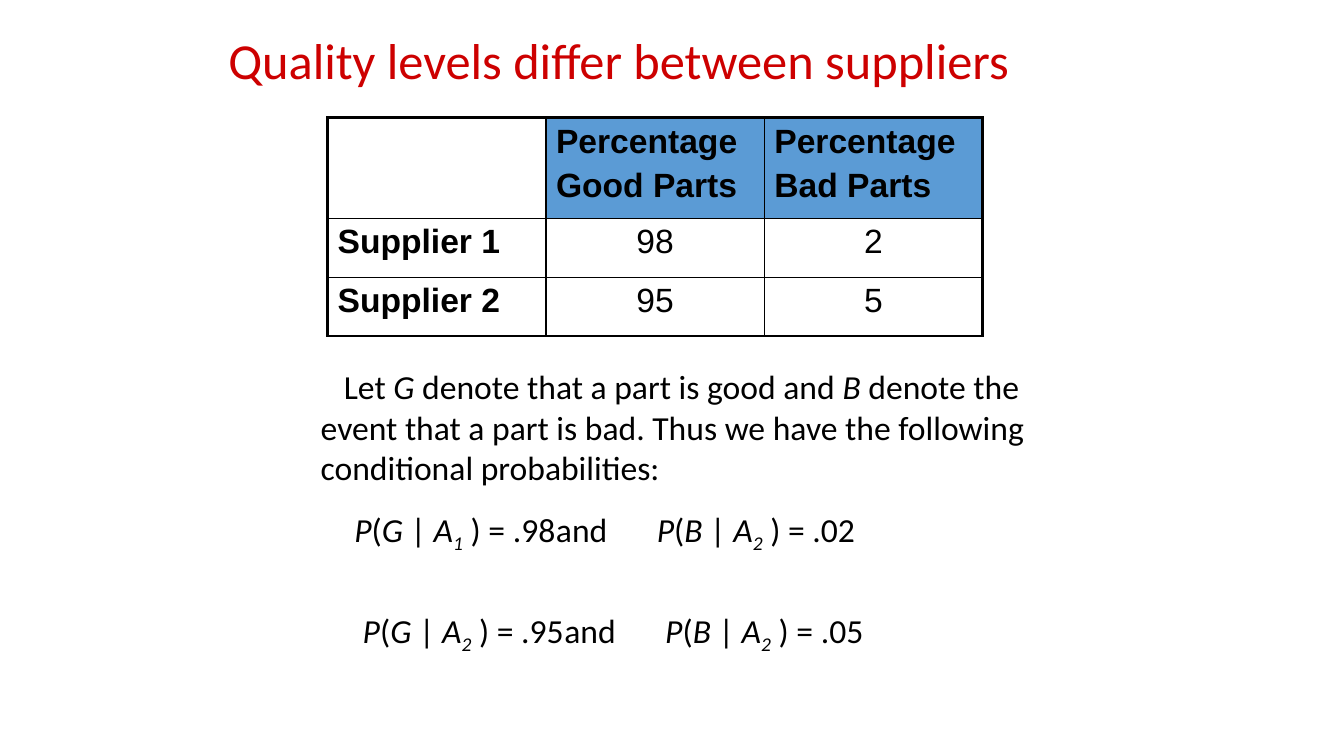
from lxml import etree
from pptx import Presentation, util as u
from pptx.dml.color import RGBColor
from pptx.enum import text
from pptx.oxml.ns import qn

RED = RGBColor(0xCD, 0x00, 0x00)
BLACK = RGBColor(0x00, 0x00, 0x00)
HEADER_BLUE = RGBColor(0x5B, 0x9B, 0xD5)

SUPPLIERS = [
    ["", "Percentage\nGood Parts", "Percentage\nBad Parts"],
    ["Supplier 1", "98", "2"],
    ["Supplier 2", "95", "5"],
]
INTRODUCTION = [
    ("Let ", ""), ("G", "italic"), (" denote that a part is good and ", ""),
    ("B", "italic"),
    (" denote the event that a part is bad. Thus we have the following "
     "conditional probabilities:", ""),
]


def conditional(event, supplier, value):
    return [("P", "italic"), ("(", ""), (event, "italic"), (" | ", ""),
            ("A", "italic"), (supplier, "subscript"), (f" ) = {value}", "")]


class SlideBuilder:
    """Draw styled elements on a slide with a grid of twelve units per inch."""

    columns, rows = 160, 90
    body_font, table_font = "Calibri", "Arial"
    title_size, body_size = 36, 24
    outer_line, inner_line = 2.25, 1

    def __init__(self, presentation):
        self.slide = presentation.slides.add_slide(presentation.slide_layouts[6])
        self.column = presentation.slide_width / self.columns
        self.row = presentation.slide_height / self.rows

    def place(self, left, top, width, height):
        return (round(left * self.column), round(top * self.row),
                round(width * self.column), round(height * self.row))

    def style(self, font, name, size, color, bold=False):
        font.name, font.size, font.bold = name, u.Pt(size), bold
        font.color.rgb = color

    def box(self, *area):
        frame = self.slide.shapes.add_textbox(*self.place(*area)).text_frame
        frame.word_wrap = True
        return frame

    def title(self, words, *area):
        frame = self.box(*area)
        frame.vertical_anchor = text.MSO_ANCHOR.MIDDLE
        frame.text = words
        paragraph = frame.paragraphs[0]
        paragraph.line_spacing = 0.9
        self.style(paragraph.runs[0].font, self.body_font, self.title_size, RED)

    def rich_text(self, pieces, *area, indent=0, tabs=()):
        paragraph = self.box(*area).paragraphs[0]
        properties = paragraph._p.get_or_add_pPr()
        properties.set("indent", str(u.Inches(indent)))
        if tabs:
            stops = etree.SubElement(properties, qn("a:tabLst"))
            for position in tabs:
                etree.SubElement(stops, qn("a:tab"), pos=str(u.Inches(position)), algn="l")
        for words, kind in pieces:
            run = paragraph.add_run()
            run.text = words
            self.style(run.font, self.body_font, self.body_size, BLACK)
            run.font.italic = kind != ""
            if kind == "subscript":
                run.font._element.set("baseline", "-25000")

    def border(self, cell, side, width):
        line = etree.SubElement(cell._tc.get_or_add_tcPr(), qn(f"a:ln{side}"),
                                w=str(u.Pt(width)))
        fill = etree.SubElement(line, qn("a:solidFill"))
        etree.SubElement(fill, qn("a:srgbClr"), val=str(BLACK))

    def cell(self, cell, words, heading, label, outer_sides):
        for side in "LRTB":
            self.border(cell, side, self.outer_line if side in outer_sides else self.inner_line)
        if heading:
            cell.fill.solid()
            cell.fill.fore_color.rgb = HEADER_BLUE
        else:
            cell.fill.background()
        cell.text_frame.text = words
        for number, paragraph in enumerate(cell.text_frame.paragraphs):
            if number:
                paragraph.space_before = u.Pt(0.2 * self.body_size)
            if not (heading or label):
                paragraph.alignment = text.PP_ALIGN.CENTER
            self.style(paragraph.font, self.table_font, self.body_size, BLACK)
            for run in paragraph.runs:
                self.style(run.font, self.table_font, self.body_size, BLACK, heading or label)

    def table(self, values, heights, *area):
        last_row, last_column = len(values) - 1, len(values[0]) - 1
        table = self.slide.shapes.add_table(
            last_row + 1, last_column + 1, *self.place(*area)).table
        table.first_row = table.horz_banding = False
        for r, (row, height) in enumerate(zip(values, heights)):
            table.rows[r].height = round(height * self.row)
            for c, words in enumerate(row):
                edges = {"L": c == 0, "R": c == last_column, "T": r == 0, "B": r == last_row}
                outer_sides = [side for side, outer in edges.items() if outer]
                self.cell(table.cell(r, c), words, r == 0 and c > 0, c == 0, outer_sides)


def main():
    presentation = Presentation()
    presentation.slide_width, presentation.slide_height = u.Inches(13.33), u.Inches(7.5)
    builder = SlideBuilder(presentation)
    builder.title("Quality levels differ between suppliers", 26, 0, 108, 15)
    builder.table(SUPPLIERS, (12, 7, 7), 39, 14, 78, 26)
    builder.rich_text(INTRODUCTION, 37, 43, 92, 15.7, indent=0.23)
    equations = [("1", ".98", ".02"), ("2", ".95", ".05")]
    for index, (supplier, good, bad) in enumerate(equations):
        pieces = (conditional("G", supplier, good) + [("\tand\t", "")]
                  + conditional("B", "2", bad))
        builder.rich_text(pieces, 41 + index, 60 + 12 * index, 69, 6, tabs=(2.13, 2.81))
    presentation.save("out.pptx")


if __name__ == "__main__":
    main()
